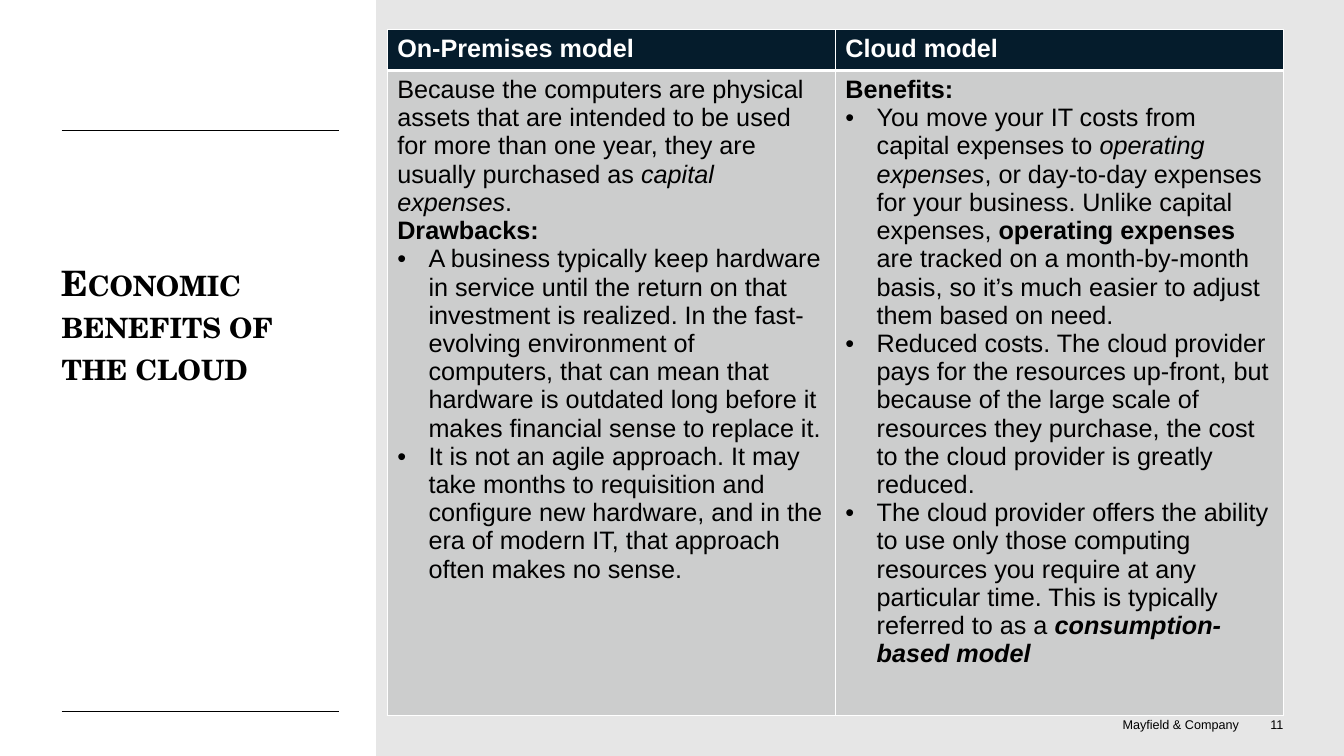
from dataclasses import dataclass

from lxml.etree import SubElement
from pptx import Presentation
from pptx.dml.color import RGBColor
from pptx.enum.shapes import MSO_CONNECTOR, MSO_SHAPE
from pptx.enum.text import MSO_ANCHOR, PP_ALIGN
from pptx.oxml.ns import qn
from pptx.util import Inches, Pt

BLACK, WHITE, NAVY = "000000", "FFFFFF", "051C2C"
PANEL_GRAY, CELL_GRAY = "E6E6E6", "CCCDCD"
SANS, SERIF = "Arial", "TeX Gyre Schola"


@dataclass(frozen=True)
class Span:
    text: str
    bold: bool = False
    italic: bool = False


@dataclass(frozen=True)
class Para:
    spans: tuple[Span, ...]
    bullet: bool = False


@dataclass(frozen=True)
class Area:
    """Place and size in percent of the slide's width and height."""
    left: float
    top: float
    width: float
    height: float


@dataclass(frozen=True)
class Label:
    area: Area
    text: str
    align: PP_ALIGN
    size: int = 9
    font: str = SANS
    bold: bool = False
    small_caps: bool = False
    wrap: bool = True


@dataclass(frozen=True)
class Rule:
    left: float
    right: float
    height: float


LABELS = (
    Label(Area(4.58, 40, 20.63, 11.2), "Economic benefits of the cloud",
          PP_ALIGN.LEFT, 25, SERIF, bold=True, small_caps=True),
    Label(Area(83.2, 94.8, 9.3, 2), "Mayfield & Company", PP_ALIGN.CENTER, wrap=False),
    Label(Area(92.8, 94.8, 2.7, 2), "11", PP_ALIGN.RIGHT),
)
RULES = (Rule(30.46, 95.42, 94.13), Rule(4.58, 25.21, 94.13), Rule(4.58, 25.21, 17.2))
PANEL = Area(27.98, 0, 72.02, 100)
TABLE = Area(28.81, 3.87, 66.69, 88.8)
HEADER_HEIGHT = 5.47

HEADERS = ("On-Premises model", "Cloud model")
ON_PREMISES = (
    Para((Span("Because the computers are physical assets that are intended to be used for "
               "more than one year, they are usually purchased as "),
          Span("capital expenses", italic=True), Span("."))),
    Para((Span("Drawbacks:", bold=True),)),
    Para((Span("A business typically keep hardware in service until the return on that "
               "investment is realized. In the fast-evolving environment of computers, that "
               "can mean that hardware is outdated long before it makes financial sense to "
               "replace it."),), bullet=True),
    Para((Span("It is not an agile approach. It may take months to requisition and configure "
               "new hardware, and in the era of modern IT, that approach often makes no "
               "sense."),), bullet=True),
)
CLOUD = (
    Para((Span("Benefits:", bold=True),)),
    Para((Span("You move your IT costs from capital expenses to "),
          Span("operating expenses", italic=True),
          Span(", or day-to-day expenses for your business. Unlike capital expenses, "),
          Span("operating expenses ", bold=True),
          Span("are tracked on a month-by-month basis, so it’s much easier to adjust them "
               "based on need.")), bullet=True),
    Para((Span("Reduced costs. The cloud provider pays for the resources up-front, but because "
               "of the large scale of resources they purchase, the cost to the cloud provider "
               "is greatly reduced."),), bullet=True),
    Para((Span("The cloud provider offers the ability to use only those computing resources "
               "you require at any particular time. This is typically referred to as a "),
          Span("consumption-based model", bold=True, italic=True)), bullet=True),
)

deck = Presentation()
deck.slide_width, deck.slide_height = Inches(13.33), Inches(7.5)
page = deck.slides.add_slide(deck.slide_layouts[6])


def color(code: str) -> RGBColor:
    return RGBColor.from_string(code)


def across(percent: float) -> int:
    return round(deck.slide_width * percent / 100)


def down(percent: float) -> int:
    return round(deck.slide_height * percent / 100)


def place(area: Area) -> tuple[int, int, int, int]:
    return across(area.left), down(area.top), across(area.width), down(area.height)


def add_span(paragraph, span: Span, size: int, ink: str, font: str = SANS):
    run = paragraph.add_run()
    run.text = span.text
    run.font.name, run.font.size = font, Pt(size)
    run.font.bold, run.font.italic = span.bold, span.italic
    run.font.color.rgb = color(ink)
    return run


def add_panel(area: Area, fill: str) -> None:
    panel = page.shapes.add_shape(MSO_SHAPE.RECTANGLE, *place(area))
    panel.shadow.inherit = False
    panel.fill.solid()
    panel.fill.fore_color.rgb = color(fill)
    panel.line.fill.background()


def add_rule(rule: Rule) -> None:
    line = page.shapes.add_connector(MSO_CONNECTOR.STRAIGHT, across(rule.left),
                                     down(rule.height), across(rule.right), down(rule.height))
    line.line.color.rgb = color(BLACK)
    line.line.width = Pt(0.5)
    SubElement(line._element.spPr, qn("a:effectLst"))


def add_label(label: Label) -> None:
    frame = page.shapes.add_textbox(*place(label.area)).text_frame
    frame.margin_left = frame.margin_top = frame.margin_right = frame.margin_bottom = 0
    frame.word_wrap = label.wrap
    frame.vertical_anchor = MSO_ANCHOR.BOTTOM
    paragraph = frame.paragraphs[0]
    paragraph.alignment = label.align
    run = add_span(paragraph, Span(label.text, label.bold), label.size, BLACK, label.font)
    if label.small_caps:
        run.font._element.set("cap", "small")


def add_bullet(paragraph) -> None:
    properties = paragraph._p.get_or_add_pPr()
    properties.set("marL", str(Inches(0.31)))
    properties.set("indent", str(Inches(-0.31)))
    SubElement(properties, qn("a:buFont"), typeface=SANS)
    SubElement(properties, qn("a:buChar"), char="•")


def set_borders(cell, top: float, bottom: float) -> None:
    """Draw white borders; they must precede the cell's fill."""
    properties = cell._tc.get_or_add_tcPr()
    for side, width in (("L", 1), ("R", 1), ("T", top), ("B", bottom)):
        border = SubElement(properties, qn(f"a:ln{side}"), w=str(Pt(width)))
        fill = SubElement(border, qn("a:solidFill"))
        SubElement(fill, qn("a:srgbClr"), val=WHITE)


def fill_cell(cell, paras: tuple[Para, ...], fill: str, ink: str,
              top: float, bottom: float) -> None:
    set_borders(cell, top, bottom)
    cell.fill.solid()
    cell.fill.fore_color.rgb = color(fill)
    frame = cell.text_frame
    for index, para in enumerate(paras):
        paragraph = frame.add_paragraph() if index else frame.paragraphs[0]
        if para.bullet:
            add_bullet(paragraph)
        for span in para.spans:
            add_span(paragraph, span, 18, ink)


def add_comparison() -> None:
    table = page.shapes.add_table(2, len(HEADERS), *place(TABLE)).table
    table.horz_banding = False
    table.rows[0].height = down(HEADER_HEIGHT)
    table.rows[1].height = down(TABLE.height - HEADER_HEIGHT)
    for column, (header, body) in enumerate(zip(HEADERS, (ON_PREMISES, CLOUD))):
        title = (Para((Span(header, bold=True),)),)
        fill_cell(table.cell(0, column), title, NAVY, WHITE, top=1, bottom=3)
        fill_cell(table.cell(1, column), body, CELL_GRAY, BLACK, top=3, bottom=1)


add_panel(PANEL, PANEL_GRAY)
for rule in RULES:
    add_rule(rule)
for label in LABELS:
    add_label(label)
add_comparison()
deck.save("out.pptx")
